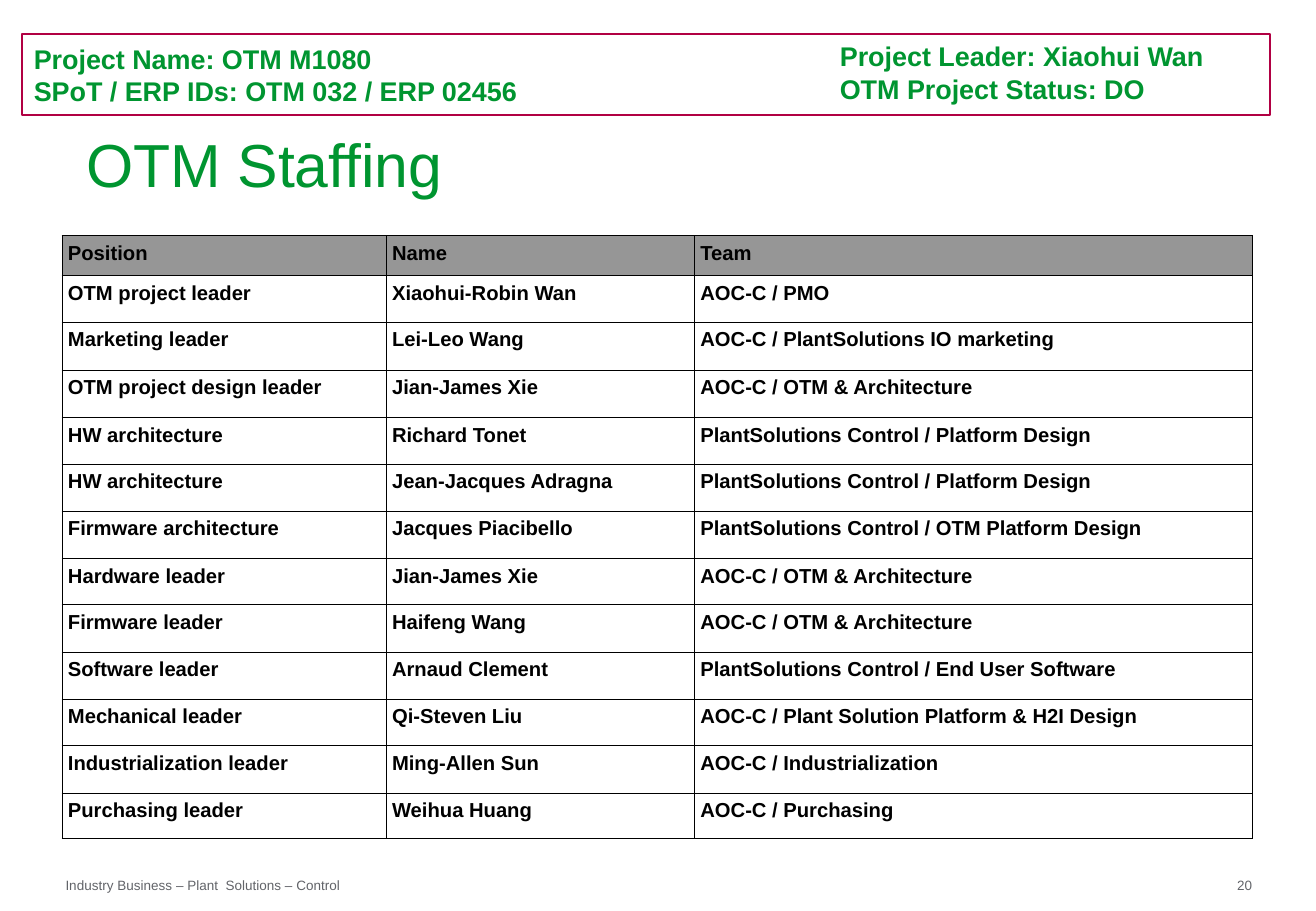
from lxml.etree import SubElement
from pptx import Presentation
from pptx.dml.color import RGBColor
from pptx.enum.shapes import MSO_SHAPE
from pptx.enum.text import MSO_ANCHOR, PP_ALIGN
from pptx.oxml.ns import qn
from pptx.util import Pt

PX = 9144  # EMU per px, 100 px to the inch
FONT = "Arial"
COLORS = {"green": "009530", "crimson": "B10043", "gray": "626469",
          "head": "969696", "black": "000000"}

COLUMNS = [267, 254, 460]
ROWS = [33, 38, 40] + [39, 38, 39] * 3 + [37]
STAFF = [
    ("Position", "Name", "Team"),
    ("OTM project leader", "Xiaohui-Robin Wan", "AOC-C / PMO"),
    ("Marketing leader", "Lei-Leo Wang", "AOC-C / PlantSolutions IO marketing"),
    ("OTM project design leader", "Jian-James Xie", "AOC-C / OTM & Architecture"),
    ("HW architecture", "Richard Tonet", "PlantSolutions Control / Platform Design"),
    ("HW architecture", "Jean-Jacques Adragna", "PlantSolutions Control / Platform Design"),
    ("Firmware architecture", "Jacques Piacibello", "PlantSolutions Control / OTM Platform Design"),
    ("Hardware leader", "Jian-James Xie", "AOC-C / OTM & Architecture"),
    ("Firmware leader", "Haifeng Wang", "AOC-C / OTM & Architecture"),
    ("Software leader", "Arnaud Clement", "PlantSolutions Control / End User Software"),
    ("Mechanical leader", "Qi-Steven Liu", "AOC-C / Plant Solution Platform & H2I Design"),
    ("Industrialization leader", "Ming-Allen Sun", "AOC-C / Industrialization"),
    ("Purchasing leader", "Weihua Huang", "AOC-C / Purchasing"),
]


def emu(*lengths):
    return [n * PX for n in lengths]


def rgb(name):
    return RGBColor.from_string(COLORS[name])


def add_run(p, text, size, color, bold):
    r = p.add_run()
    r.text = text
    r.font.name, r.font.size, r.font.bold = FONT, Pt(size), bold
    r.font.color.rgb = rgb(color)


def write(tf, lines, size, color, bold=False, inset=(0, 0), anchor=MSO_ANCHOR.TOP):
    tf.word_wrap = True
    tf.vertical_anchor = anchor
    tf.margin_left = tf.margin_right = inset[0] * PX
    tf.margin_top = tf.margin_bottom = inset[1] * PX
    p = tf.paragraphs[0]
    p.alignment = PP_ALIGN.LEFT
    for i, line in enumerate(lines):
        if i:
            p.add_line_break()
        add_run(p, line, size, color, bold)


def add_text(s, box, lines, size, color, **style):
    tb = s.shapes.add_textbox(*emu(*box))
    write(tb.text_frame, lines, size, color, **style)


def add_header(s, x, y, w, h):
    style = {"bold": True, "inset": (10, 5)}
    sp = s.shapes.add_shape(MSO_SHAPE.RECTANGLE, *emu(x, y, w, h))
    sp.shadow.inherit = False
    sp.fill.background()
    sp.line.color.rgb = rgb("crimson")
    sp.line.width = Pt(1)
    write(sp.text_frame, ["Project Name: OTM M1080", "SPoT / ERP IDs: OTM 032 / ERP 02456"],
          16, "green", anchor=MSO_ANCHOR.MIDDLE, **style)
    add_text(s, (x + 664, y, 400, h - 3),
             ["Project Leader: Xiaohui Wan", "OTM Project Status: DO"], 16, "green", **style)


def add_title(s, x, y, w, h):
    add_text(s, (x, y, w, h), ["OTM Staffing"], 36, "green",
             inset=(0, 1), anchor=MSO_ANCHOR.MIDDLE)


def add_borders(cell):
    tc_pr = cell._tc.get_or_add_tcPr()
    for i, side in enumerate(("lnL", "lnR", "lnT", "lnB")):
        ln = tc_pr.makeelement(qn(f"a:{side}"), {"w": str(Pt(0.45))})
        fill = SubElement(ln, qn("a:solidFill"))
        SubElement(fill, qn("a:srgbClr"), val=COLORS["black"])
        tc_pr.insert(i, ln)  # borders come before the fill


def add_staff_table(s, x, y, w, h):
    table = s.shapes.add_table(len(ROWS), len(COLUMNS), *emu(x, y, w, h)).table
    table.first_row = table.horz_banding = False
    for col, width in zip(table.columns, COLUMNS):
        col.width = width * PX
    for i, (row, height, texts) in enumerate(zip(table.rows, ROWS, STAFF)):
        row.height = height * PX
        for cell, text in zip(row.cells, texts):
            if i == 0:
                cell.fill.solid()
                cell.fill.fore_color.rgb = rgb("head")
            else:
                cell.fill.background()
            add_borders(cell)
            cell.margin_left = cell.margin_right = 5 * PX
            cell.margin_top = cell.margin_bottom = 5 * PX
            add_run(cell.text_frame.paragraphs[0], text, 12, "black", True)


def add_footer(s, x, y, w, h):
    add_text(s, (x, y, 227, h), ["Industry Business – Plant  Solutions – Control"], 8, "gray")
    add_text(s, (x + w - 34, y, 34, h), ["20"], 8, "gray")


def main():
    prs = Presentation()
    prs.slide_width, prs.slide_height = emu(1084, 750)
    s = prs.slides.add_slide(prs.slide_layouts[6])
    add_footer(s, 54, 722, 999, 13)
    add_header(s, 18, 28, 1028, 67)
    add_staff_table(s, 51, 194, sum(COLUMNS), sum(ROWS))
    add_title(s, 71, 99, 981, 71)
    prs.save("out.pptx")


if __name__ == "__main__":
    main()
